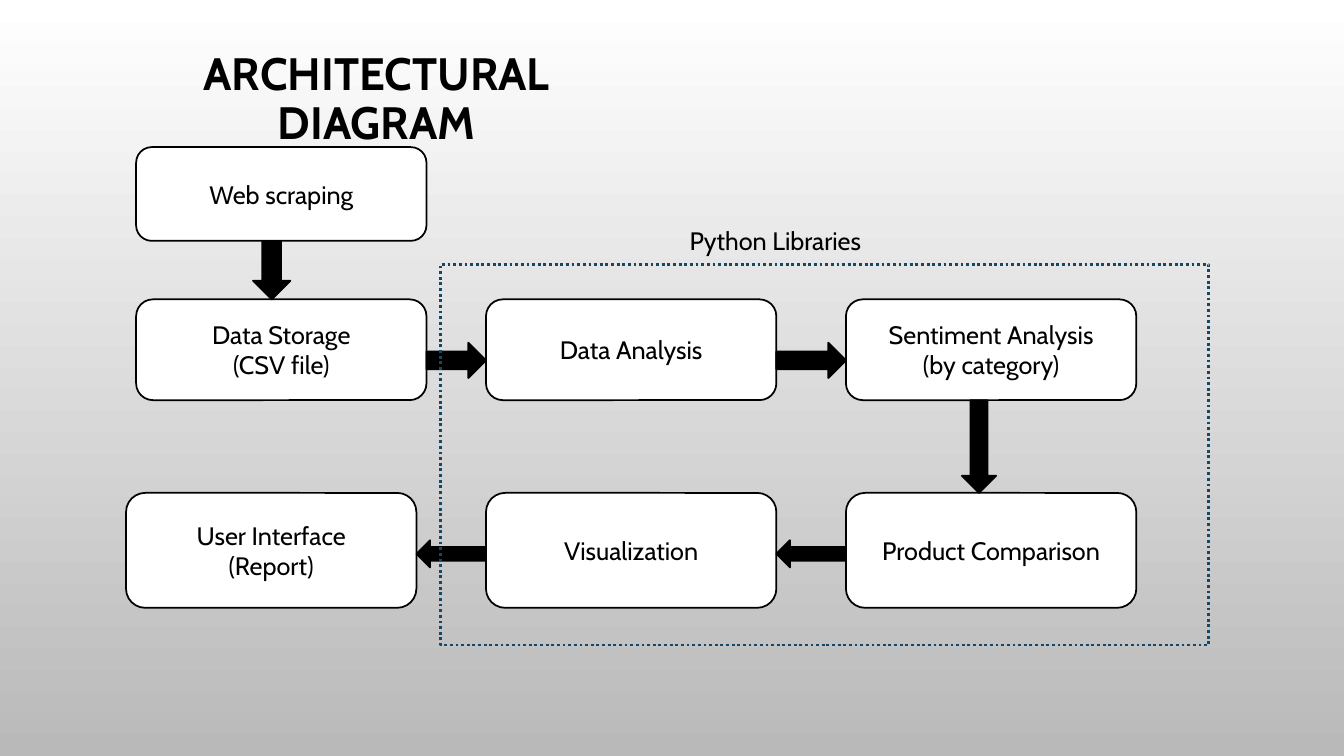
from pptx import Presentation
from pptx.dml.color import RGBColor
from pptx.enum.dml import MSO_LINE as Dash
from pptx.enum.shapes import MSO_SHAPE as Kind
from pptx.enum.text import MSO_ANCHOR as Anchor, MSO_AUTO_SIZE as Fit, PP_ALIGN as Align
from pptx.util import Emu, Pt

# Content: lengths in px, 100 to the inch
TITLE = "ARCHITECTURAL DIAGRAM"
LABEL = "Python Libraries"
WIDE = 288
ROWS = {"top": (146, 93), "mid": (297, 100), "low": (489, 114)}
STEPS = {  # name: (left, row, lines)
    "scrape": (135, "top", ["Web scraping"]),
    "store": (135, "mid", ["Data Storage", "(CSV file)"]),
    "study": (482, "mid", ["Data Analysis"]),
    "mood": (839, "mid", ["Sentiment Analysis", "(by category)"]),
    "match": (839, "low", ["Product Comparison"]),
    "chart": (482, "low", ["Visualization"]),
    "report": (125, "low", ["User Interface", "(Report)"]),
}
LINKS = [  # from, to, near side of the arrow, thickness
    ("scrape", "store", 251, 37),
    ("mood", "match", 954, 34),
    ("store", "study", 340, 35),
    ("study", "mood", 340, 35),
    ("match", "chart", 536, 27),
    ("chart", "report", 536, 27),
]
FRAME = (437, 262, 762, 378)
BLACK, WHITE, NAVY, GREY = "000000", "FFFFFF", "154768", "B9B9B9"


def px(n):
    return Emu(n * 9144)


def color(code):
    return RGBColor.from_string(code)


def write(frame, lines, size=18, align=Align.CENTER, **extra):
    look = {"name": "Cabin", "size": Pt(size), "bold": False, **extra}
    for i, line in enumerate(lines):
        para = frame.add_paragraph() if i else frame.paragraphs[0]
        para.alignment = align
        run = para.add_run()
        run.text = line
        run.font.color.rgb = color(BLACK)
        for key, val in look.items():
            setattr(run.font, key, val)


def draw(kind, box, fill=None, edge=BLACK, width=1.25):
    shape = slide.shapes.add_shape(kind, *map(px, box))
    shape.shadow.inherit = False
    if fill:
        shape.fill.solid()
        shape.fill.fore_color.rgb = color(fill)
    else:
        shape.fill.background()
    shape.line.color.rgb = color(edge)
    shape.line.width = Pt(width)
    return shape


deck = Presentation()
deck.slide_width, deck.slide_height = px(1333), px(750)
slide = deck.slides.add_slide(deck.slide_layouts[5])

# Background, light at the top
back = slide.background.fill
back.gradient()
back.gradient_angle = 270
for stop, code in zip(back.gradient_stops, (WHITE, GREY)):
    stop.color.rgb = color(code)

# Title
title = slide.shapes.title
for key, n in zip(("left", "top", "width", "height"), (100, 68, 547, 63)):
    setattr(title, key, px(n))
head = title.text_frame
for key, val in {"word_wrap": True, "auto_size": Fit.NONE,
                 "vertical_anchor": Anchor.MIDDLE}.items():
    setattr(head, key, val)
write(head, [TITLE], 32.4, bold=True)
head.paragraphs[0].line_spacing = 0.9

# Steps
spots = {}
for name, (left, row, lines) in STEPS.items():
    top, tall = ROWS[row]
    spots[name] = (left, top, WIDE, tall)
    step = draw(Kind.ROUNDED_RECTANGLE, spots[name], WHITE)
    step.text_frame.vertical_anchor = Anchor.MIDDLE
    write(step.text_frame, lines)

# Arrows fill the gap between two steps
for start, end, side, thick in LINKS:
    (x1, y1, w1, h1), (x2, y2, w2, h2) = spots[start], spots[end]
    if y1 < y2:
        kind, box = Kind.DOWN_ARROW, (side, y1 + h1, thick, y2 - y1 - h1)
    elif x1 < x2:
        kind, box = Kind.RIGHT_ARROW, (x1 + w1, side, x2 - x1 - w1, thick)
    else:
        kind, box = Kind.LEFT_ARROW, (x2 + w2, side, x1 - x2 - w2, thick)
    draw(kind, box, BLACK)

# Library frame and its label
draw(Kind.RECTANGLE, FRAME, edge=NAVY, width=2).line.dash_style = Dash.ROUND_DOT
label = slide.shapes.add_textbox(*map(px, (674, 219, 299, 41))).text_frame
label.word_wrap = True
write(label, [LABEL], align=Align.LEFT)

deck.save("out.pptx")
